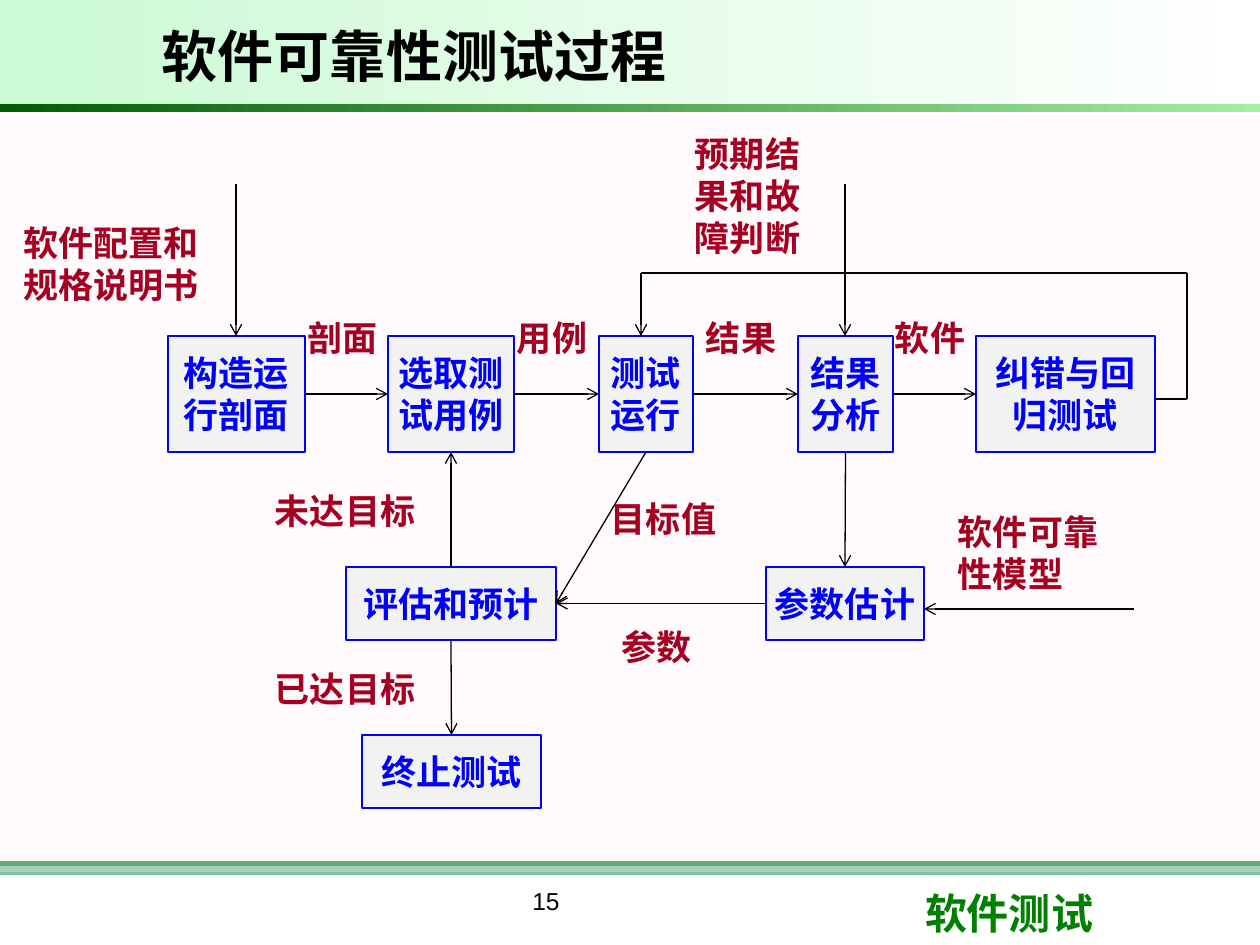
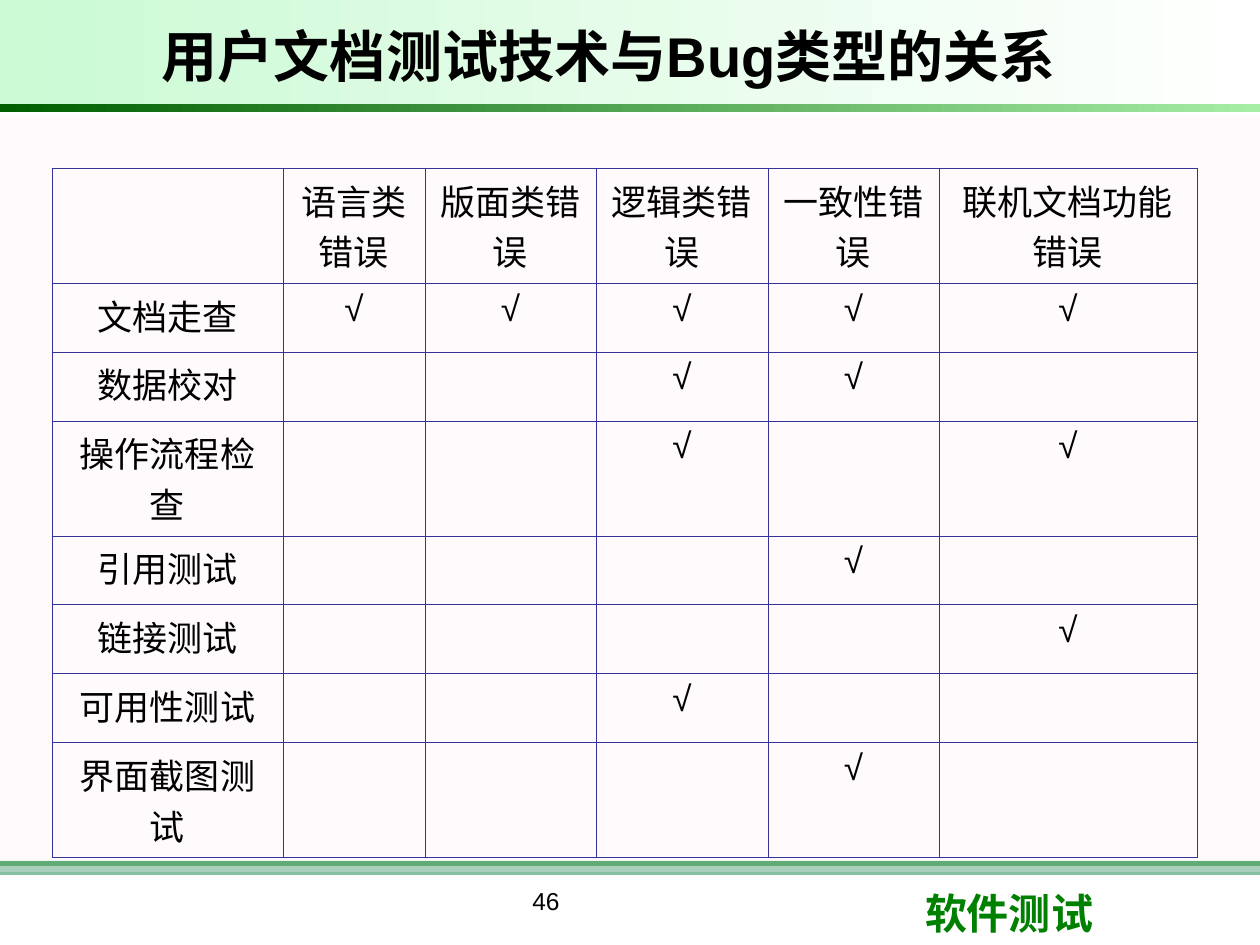
from lxml import etree
from pptx import Presentation
from pptx.dml.color import RGBColor as RGB
from pptx.enum.shapes import MSO_CONNECTOR as CONN, MSO_SHAPE as SHAPE
from pptx.enum.text import MSO_ANCHOR as ANCHOR, PP_ALIGN as ALIGN
from pptx.oxml.ns import qn
from pptx.util import Emu, Pt

EMU_PER_PX = 914400 / 126
SANS = "Noto Sans CJK SC"
C = {
    "black": "000000", "white": "FFFFFF", "blue": "0000FF", "red": "A50021",
    "green": "008000", "teal": "339966", "blush": "FFF0F5", "box": "F2F2F2",
    "mint": "CBFAD4", "dark": "005E00", "light": "A6EDA6", "grid": "333399",
}
FMT = {
    "title": {"size": Pt(32), "bold": True, "name": "Arial", "color": "black"},
    "number": {"size": Pt(14), "bold": False, "name": "Arial", "color": "black"},
    "footer": {"size": Pt(24), "bold": True, "name": "Calibri", "color": "green"},
    "node": {"size": Pt(20), "bold": True, "name": SANS, "color": "blue"},
    "label": {"size": Pt(20), "bold": True, "name": SANS, "color": "red"},
    "cell": {"size": Pt(20), "bold": False, "name": "Arial", "color": "black"},
}
TOP, LEFT, BOTTOM, RIGHT = range(4)


def px(*values):
    """Turn px lengths into EMU."""
    return [Emu(round(v * EMU_PER_PX)) for v in values]


def rgb(name):
    """Look up a named colour."""
    return RGB.from_string(C[name])


def write(tf, lines, style, align=ALIGN.LEFT):
    """Fill a text frame with one paragraph per line."""
    for i, line in enumerate(lines):
        p = tf.paragraphs[0] if i == 0 else tf.add_paragraph()
        p.alignment = align
        r = p.add_run()
        r.text = line
        for key, value in FMT[style].items():
            if key == "color":
                r.font.color.rgb = rgb(value)
            else:
                setattr(r.font, key, value)
        ea = etree.SubElement(r.font._element, qn("a:ea"))
        ea.set("typeface", SANS)


def set_frame(tf, side, anchor):
    """Set wrapping, insets and anchor of a text frame."""
    inset, edge = px(side, 6)
    frame = {"word_wrap": True, "vertical_anchor": anchor, "margin_left": inset,
             "margin_right": inset, "margin_top": edge, "margin_bottom": edge}
    for key, value in frame.items():
        setattr(tf, key, value)


def add_text(s, box, text, style, align=ALIGN.LEFT, anchor=ANCHOR.TOP):
    """Add a wrapped text box."""
    tf = s.shapes.add_textbox(*px(*box)).text_frame
    set_frame(tf, 13, anchor)
    write(tf, [text], style, align)


def add_rect(s, box, fill=None, alpha=100):
    """Add a borderless rectangle, optionally see-through."""
    sp = s.shapes.add_shape(SHAPE.RECTANGLE, *px(*box))
    sp.shadow.inherit = False
    sp.line.fill.background()
    if fill:
        sp.fill.solid()
        sp.fill.fore_color.rgb = rgb(fill)
        if alpha < 100:
            clr = sp._element.spPr.find(qn("a:solidFill"))[0]
            etree.SubElement(clr, qn("a:alpha")).set("val", str(alpha * 1000))
    return sp


def add_gradient(s, box, start, end):
    """Add a band that fades from left to right."""
    fill = add_rect(s, box).fill
    fill.gradient()
    fill.gradient_angle = 0
    for stop, name in zip(fill.gradient_stops, (start, end)):
        stop.color.rgb = rgb(name)


def add_line(s, start, end, arrow=True):
    """Add a thin black line, with an arrowhead at its end."""
    cx = s.shapes.add_connector(CONN.STRAIGHT, *px(*start, *end))
    cx.line.width = Pt(0.75)
    cx.line.color.rgb = rgb("black")
    if arrow:
        tail = etree.SubElement(cx.line._get_or_add_ln(), qn("a:tailEnd"))
        tail.set("type", "arrow")
    etree.SubElement(cx._element.spPr, qn("a:effectLst"))
    return cx


def add_base(prs, title, number):
    """Add a slide with the shared bands, title, page number and footer."""
    s = prs.slides.add_slide(prs.slide_layouts[6])
    add_rect(s, (0, 861, 1260, 5), "green")
    add_rect(s, (0, 861, 1260, 14), "teal", 60)
    add_rect(s, (0, 116, 1260, 756), "blush", 30)
    add_gradient(s, (0, 0, 1260, 104), "mint", "white")
    add_gradient(s, (0, 104, 1260, 8), "dark", "light")
    add_text(s, (149, 10, 995, 90), title, "title", anchor=ANCHOR.MIDDLE)
    add_text(s, (346, 880, 400, 65), number, "number", ALIGN.CENTER)
    add_text(s, (912, 882, 299, 63), "软件测试", "footer")
    return s


def add_node(s, box, lines):
    """Add one step of the flowchart."""
    sp = add_rect(s, box, "box")
    sp.line.width = Pt(0.75)
    sp.line.color.rgb = rgb("blue")
    set_frame(sp.text_frame, 5, ANCHOR.MIDDLE)
    write(sp.text_frame, lines, "node", ALIGN.CENTER)
    return sp


def add_flowchart(s, box):
    """Draw the reliability test process inside the box."""
    x0, y0 = box[:2]
    row, row_h, low_h = 220, 116, 73
    steps = {
        "profile": (168, row, 137, row_h, ["构造运", "行剖面"]),
        "cases": (388, row, 126, row_h, ["选取测试用例"]),
        "run": (599, row, 94, row_h, ["测试运行"]),
        "analysis": (798, row, 95, row_h, ["结果分析"]),
        "estimate": (766, 451, 158, low_h, ["参数估计"]),
        "assess": (346, 451, 210, low_h, ["评估和预计"]),
        "stop": (362, 619, 179, low_h, ["终止测试"]),
        "fix": (976, row, 179, row_h, ["纠错与回归测试"]),
    }
    nodes = {name: add_node(s, (x0 + x, y0 + y, w, h), lines)
             for name, (x, y, w, h, lines) in steps.items()}

    flows = [
        ("profile", RIGHT, "cases", LEFT), ("cases", RIGHT, "run", LEFT),
        ("run", RIGHT, "analysis", LEFT), ("analysis", RIGHT, "fix", LEFT),
        ("analysis", BOTTOM, "estimate", TOP), ("estimate", LEFT, "assess", RIGHT),
        ("assess", TOP, "cases", BOTTOM), ("assess", BOTTOM, "stop", TOP),
        ("run", BOTTOM, "assess", RIGHT),
    ]
    for start, start_side, end, end_side in flows:
        cx = add_line(s, (0, 0), (0, 0))
        cx.begin_connect(nodes[start], start_side)
        cx.end_connect(nodes[end], end_side)

    inputs = [((236, 68), (236, row)), ((845, 68), (845, row)), ((1134, 493), (924, 493))]
    loop = [(1155, 283), (1187, 283), (1187, 157), (641, 157), (641, row)]
    for (xa, ya), (xb, yb) in inputs + list(zip(loop, loop[1:])):
        arrow = (xb, yb) not in loop[:-1]
        add_line(s, (x0 + xa, y0 + ya), (x0 + xb, y0 + yb), arrow)

    labels = [
        (10, 99, 210, "软件配置和规格说明书"), (294, 194, 105, "剖面"),
        (504, 194, 105, "用例"), (693, 194, 105, "结果"), (882, 194, 105, "软件"),
        (682, 10, 137, "预期结果和故障判断"), (945, 388, 179, "软件可靠性模型"),
        (262, 545, 179, "已达目标"), (262, 367, 179, "未达目标"),
        (598, 375, 179, "目标值"), (608, 503, 147, "参数"),
    ]
    for x, y, w, text in labels:
        add_text(s, (x0 + x, y0 + y, w, 55), text, "label")


def set_cell(cell, text):
    """Give a cell its border, clear fill and centred text."""
    tc_pr = cell._tc.get_or_add_tcPr()
    for side in ("lnL", "lnR", "lnT", "lnB"):
        ln = etree.SubElement(tc_pr, qn(f"a:{side}"), w=str(Pt(0.45)))
        fill = etree.SubElement(ln, qn("a:solidFill"))
        etree.SubElement(fill, qn("a:srgbClr"), val=C["grid"])
    cell.fill.background()
    if text:
        write(cell.text_frame, [text], "cell", ALIGN.CENTER)


def add_matrix(s, box):
    """Draw the table of test techniques against bug types."""
    heads = ["语言类错误", "版面类错误", "逻辑类错误", "一致性错误", "联机文档功能错误"]
    found = {
        "文档走查": (1, 2, 3, 4, 5), "数据校对": (3, 4), "操作流程检查": (3, 5),
        "引用测试": (4,), "链接测试": (5,), "可用性测试": (3,), "界面截图测试": (4,),
    }
    one_line, two_lines, line_chars = 69, 115, 5
    rows = [["", *heads]]
    heights = [two_lines]
    for name, columns in found.items():
        rows.append([name, *("√" if i in columns else "" for i in range(1, 6))])
        heights.append(two_lines if len(name) > line_chars else one_line)
    table = s.shapes.add_table(len(rows), len(rows[0]), *px(*box)).table
    table.first_row = table.horz_banding = False
    for column, width in zip(table.columns, px(231, 142, 171, 172, 171, 258)):
        column.width = width
    for row, height, texts in zip(table.rows, px(*heights), rows):
        row.height = height
        for cell, text in zip(row.cells, texts):
            set_cell(cell, text)


def main():
    """Build both slides and save them."""
    prs = Presentation()
    prs.slide_width, prs.slide_height = px(1260, 945)
    add_flowchart(add_base(prs, "软件可靠性测试过程", "15"), (0, 116, 1260, 756))
    add_matrix(add_base(prs, "用户文档测试技术与Bug类型的关系", "46"), (52, 168, 1145, 690))
    prs.save("out.pptx")


if __name__ == "__main__":
    main()
